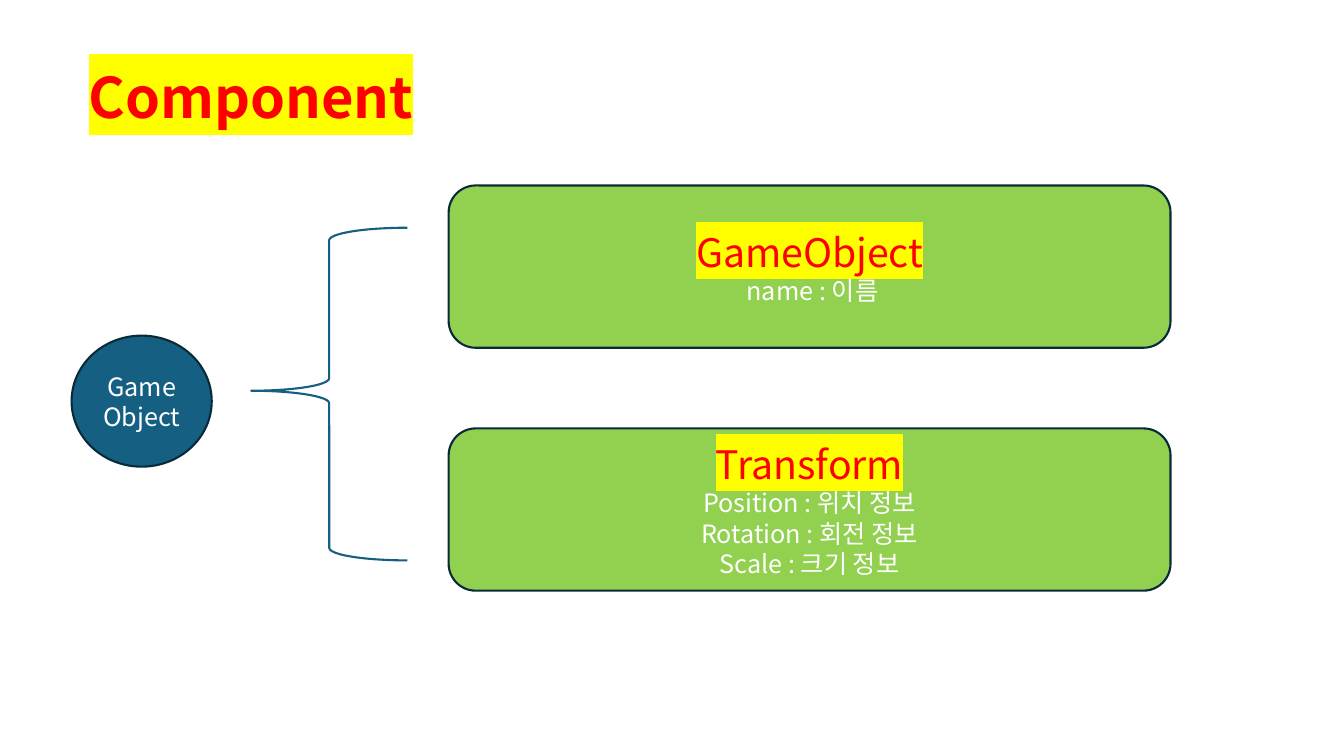
from pptx import Presentation
from pptx import util as u
from pptx.dml.color import RGBColor
from pptx.enum import shapes, text
from pptx.oxml.ns import qn
from lxml import etree

FONT = "Noto Sans CJK KR"
RED, YELLOW, WHITE = "FF0000", "FFFF00", "FFFFFF"
GREEN, BLUE, NAVY = "92D050", "156082", "092A39"


def rgb(value):
    """Return the colour for a hex string."""
    return RGBColor.from_string(value)


def write(p, words, size, color, align, highlight=None, bold=False):
    """Write one styled line into a paragraph."""
    r = p.add_run()
    r.text = words
    p.alignment = align
    p.font.size, p.font.name, p.font.bold = u.Pt(size), FONT, bold
    p.font.color.rgb = rgb(color)
    rPr = r._r.get_or_add_rPr()
    if highlight:
        mark = etree.SubElement(rPr, qn("a:highlight"))
        etree.SubElement(mark, qn("a:srgbClr"), val=highlight)
    etree.SubElement(rPr, qn("a:ea"), typeface=FONT)


def add_title(s, words):
    """Place the highlighted slide title."""
    sp = s.shapes.title
    sp.left, sp.top = u.Inches(0.78), u.Inches(0.57)
    sp.width, sp.height = u.Inches(8.61), u.Inches(0.77)
    tf = sp.text_frame
    tf.word_wrap = True
    tf.auto_size = text.MSO_AUTO_SIZE.SHAPE_TO_FIT_TEXT
    tf.vertical_anchor = text.MSO_ANCHOR.TOP
    write(tf.paragraphs[0], words, 40, RED, text.PP_ALIGN.LEFT, YELLOW, True)


def add_outline(s, kind, box, line, fill=None):
    """Add a preset shape with a thin line and an optional fill."""
    sp = s.shapes.add_shape(kind, *map(u.Inches, box))
    sp.shadow.inherit = False
    sp.line.color.rgb = rgb(line)
    sp.line.width = u.Pt(1.5)
    if fill:
        sp.fill.solid()
        sp.fill.fore_color.rgb = rgb(fill)
    else:
        sp.fill.background()
    return sp


def add_lines(sp, lines, heading=None):
    """Fill a shape with centred lines under an optional highlighted heading."""
    tf = sp.text_frame
    tf.word_wrap = True
    tf.vertical_anchor = text.MSO_ANCHOR.MIDDLE
    styled = [(heading, 28, RED, YELLOW)] if heading else []
    styled += [(line, 18, WHITE, None) for line in lines]
    for i, (words, size, color, highlight) in enumerate(styled):
        p = tf.add_paragraph() if i else tf.paragraphs[0]
        write(p, words, size, color, text.PP_ALIGN.CENTER, highlight)


def add_component(s, top, heading, lines):
    """Add a green component card."""
    sp = add_outline(s, shapes.MSO_SHAPE.ROUNDED_RECTANGLE,
                     (4.45, top, 7.16, 1.61), NAVY, GREEN)
    add_lines(sp, lines, heading)


def main():
    """Build the slide and save it."""
    prs = Presentation()
    prs.slide_width, prs.slide_height = u.Inches(13.33), u.Inches(7.5)
    s = prs.slides.add_slide(prs.slide_layouts[5])
    add_title(s, "Component")

    circle = add_outline(s, shapes.MSO_SHAPE.OVAL, (0.71, 3.33, 1.39, 1.3), NAVY, BLUE)
    add_lines(circle, ["Game", "Object"])

    brace = add_outline(s, shapes.MSO_SHAPE.LEFT_BRACE, (2.49, 2.26, 1.55, 3.3), BLUE)
    brace.adjustments[0], brace.adjustments[1] = 0.08, 0.49

    add_component(s, 1.84, "GameObject", [" name : 이름"])
    add_component(s, 4.25, "Transform",
                  [" Position : 위치 정보 ", "Rotation : 회전 정보", "Scale : 크기 정보"])
    prs.save("out.pptx")


if __name__ == "__main__":
    main()
